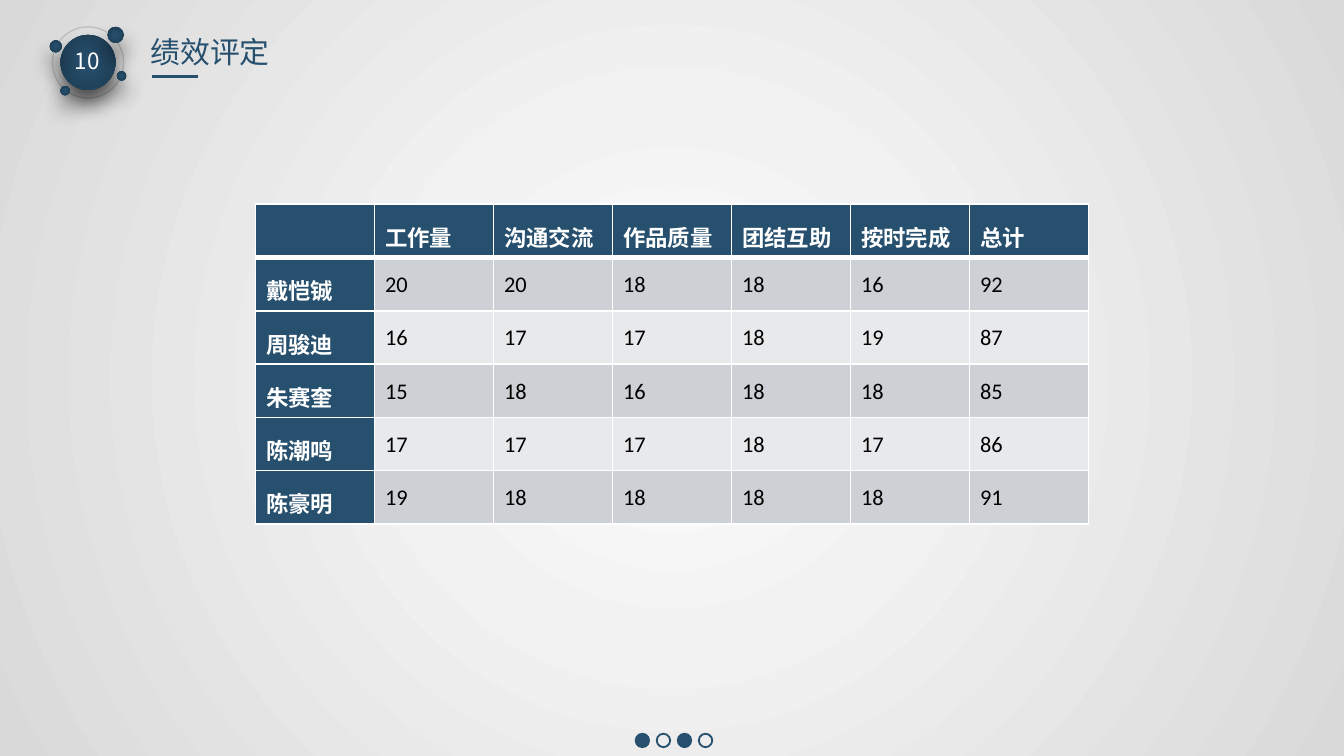
import lxml.etree
import pptx
import pptx.dml.color
import pptx.enum.shapes
import pptx.enum.text
import pptx.oxml
import pptx.oxml.ns
import pptx.util
from dataclasses import dataclass
from pptx.util import Inches


@dataclass(frozen=True)
class Theme:
    navy: str = "27506E"
    deep: str = "1D3C52"
    ring: str = "BFBFBF"
    white: str = "FFFFFF"
    black: str = "000000"
    bands: tuple = ("CDD0D5", "E8E9EB")
    backdrop: tuple = ((0, "FFFFFF"), (35, "F2F2F2"), (100, "D9D9D9"))
    cjk: str = "Noto Sans CJK SC"
    latin: str = "Calibri"
    title_size: int = 16
    body_size: int = 12


theme = Theme()
rgb = pptx.dml.color.RGBColor.from_string
qn = pptx.oxml.ns.qn
namespace = pptx.oxml.ns.nsdecls("a")
oval = pptx.enum.shapes.MSO_SHAPE.OVAL


def make_radial(fill, owner, stops):
    fill.gradient()
    gradient = owner.xpath(".//a:gradFill")[0]
    marks = "".join(
        f'<a:gs pos="{position * 1000}"><a:srgbClr val="{color}"/></a:gs>'
        for position, color in stops
    )
    radial = pptx.oxml.parse_xml(
        f'<a:gradFill {namespace} rotWithShape="1"><a:gsLst>{marks}</a:gsLst>'
        '<a:path path="circle"><a:fillToRect l="50000" t="50000" r="50000" b="50000"/>'
        "</a:path></a:gradFill>"
    )
    gradient.getparent().replace(gradient, radial)


def style_text(para, size, color, latin, bold=False):
    for span in para.runs:
        span.font.size = pptx.util.Pt(size)
        span.font.color.rgb = rgb(color)
        span.font.name = latin
        span.font.bold = bold
        east = lxml.etree.Element(qn("a:ea"), typeface=theme.cjk)
        span.font._element.find(qn("a:latin")).addnext(east)


deck = pptx.Presentation()
deck.slide_width = Inches(10)
deck.slide_height = deck.slide_width * 9 // 16
page = deck.slides.add_slide(deck.slide_layouts[5])
make_radial(page.background.fill, page._element, theme.backdrop)

title = page.shapes.title
title.left, title.top, title.width, title.height = (
    Inches(value) for value in (1.02, 0.2, 1.1, 0.37)
)
title.text_frame.text = "绩效评定"
title.text_frame.word_wrap = False
title.text_frame.auto_size = pptx.enum.text.MSO_AUTO_SIZE.SHAPE_TO_FIT_TEXT
title.text_frame.vertical_anchor = pptx.enum.text.MSO_ANCHOR.TOP
title.text_frame.paragraphs[0].alignment = pptx.enum.text.PP_ALIGN.LEFT
style_text(title.text_frame.paragraphs[0], theme.title_size, theme.navy, theme.cjk)

underline = page.shapes.add_connector(
    pptx.enum.shapes.MSO_CONNECTOR.STRAIGHT,
    Inches(1.13), Inches(0.57), Inches(1.47), Inches(0.57),
)
underline.line.color.rgb = rgb(theme.navy)
underline.line.width = pptx.util.Pt(1.5)
lxml.etree.SubElement(underline._element.spPr, qn("a:effectLst"))

orbit = page.shapes.add_shape(oval, Inches(0.39), Inches(0.2), Inches(0.53), Inches(0.53))
orbit.shadow.inherit = False
orbit.fill.background()
orbit.line.color.rgb = rgb(theme.ring)
orbit.line.width = pptx.util.Pt(0.75)

balls = [
    (0.45, 0.26, 0.41),
    (0.8, 0.2, 0.12),
    (0.37, 0.3, 0.09),
    (0.45, 0.64, 0.07),
    (0.87, 0.53, 0.07),
]
for left, top, size in balls:
    ball = page.shapes.add_shape(oval, Inches(left), Inches(top), Inches(size), Inches(size))
    make_radial(ball.fill, ball._element, ((0, theme.navy), (100, theme.deep)))
    ball.line.fill.background()
    ball.shadow.inherit = False
    ball._element.spPr.find(qn("a:effectLst")).append(pptx.oxml.parse_xml(
        f'<a:outerShdw {namespace} blurRad="{pptx.util.Pt(11)}" dist="{pptx.util.Pt(8)}" '
        f'dir="5400000" rotWithShape="0"><a:srgbClr val="{theme.black}">'
        '<a:alpha val="64000"/></a:srgbClr></a:outerShdw>'
    ))

number = page.shapes.add_textbox(Inches(0.46), Inches(0.3), Inches(0.4), Inches(0.3))
number.text_frame.text = "10"
number.text_frame.word_wrap = False
number.text_frame.auto_size = pptx.enum.text.MSO_AUTO_SIZE.SHAPE_TO_FIT_TEXT
style_text(number.text_frame.paragraphs[0], theme.body_size, theme.white, theme.cjk)

for index in range(4):
    dot = page.shapes.add_shape(
        oval, Inches(4.73 + 0.47 * index / 3), Inches(5.46), Inches(0.1), Inches(0.1)
    )
    dot.shadow.inherit = False
    dot.line.color.rgb = rgb(theme.navy)
    dot.line.width = pptx.util.Pt(1)
    if index % 2 == 0:
        dot.fill.solid()
        dot.fill.fore_color.rgb = rgb(theme.navy)
    else:
        dot.fill.background()

scores = [
    ("", "工作量", "沟通交流", "作品质量", "团结互助", "按时完成", "总计"),
    ("戴恺铖", 20, 20, 18, 18, 16, 92),
    ("周骏迪", 16, 17, 17, 18, 19, 87),
    ("朱赛奎", 15, 18, 16, 18, 18, 85),
    ("陈潮鸣", 17, 17, 17, 18, 17, 86),
    ("陈豪明", 19, 18, 18, 18, 18, 91),
]
table = page.shapes.add_table(
    len(scores), len(scores[0]), Inches(1.9), Inches(1.52), Inches(6.2), Inches(2.38)
).table
for row, values in enumerate(scores):
    for column, value in enumerate(values):
        cell = table.cell(row, column)
        heading = row == 0 or column == 0
        cell.margin_left = cell.margin_right = Inches(0.08)
        cell.margin_top = cell.margin_bottom = 0
        properties = cell._tc.get_or_add_tcPr()
        for side in "LRTB":
            thick = (row == 0 and side == "B") or (row == 1 and side == "T")
            properties.append(pptx.oxml.parse_xml(
                f'<a:ln{side} {namespace} w="{pptx.util.Pt(3 if thick else 1)}"><a:solidFill>'
                f'<a:srgbClr val="{theme.white}"/></a:solidFill></a:ln{side}>'
            ))
        cell.fill.solid()
        cell.fill.fore_color.rgb = rgb(theme.navy if heading else theme.bands[(row - 1) % 2])
        para = cell.text_frame.paragraphs[0]
        para.alignment = pptx.enum.text.PP_ALIGN.JUSTIFY
        para.line_spacing = 1.5
        if value == "":
            para.font.size = pptx.util.Pt(theme.body_size)
            continue
        para.text = str(value)
        color = theme.white if heading else theme.black
        style_text(para, theme.body_size, color, theme.latin, heading)

deck.save("out.pptx")
